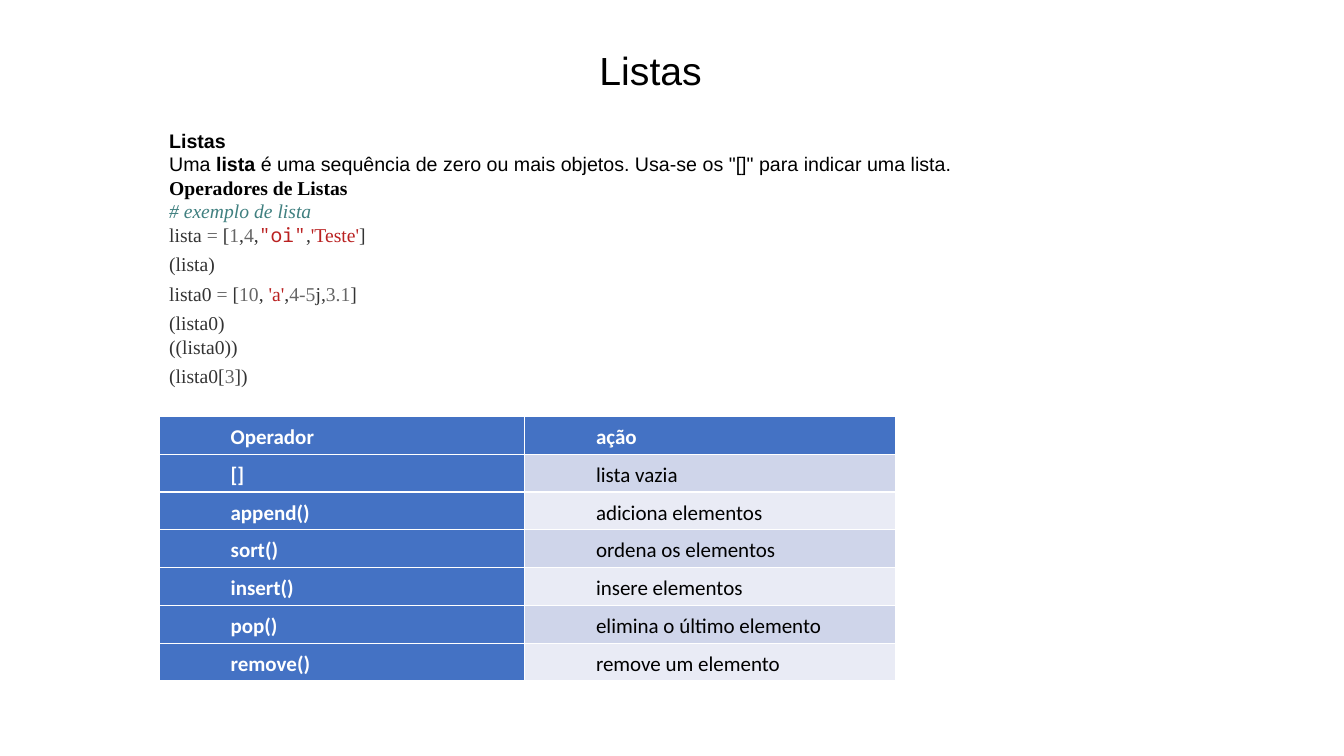
from pptx import Presentation
from pptx.dml.color import RGBColor
from pptx.enum.text import MSO_ANCHOR as Anchor, MSO_AUTO_SIZE as Fit, PP_ALIGN as Align
from pptx.util import Pt

BLACK = RGBColor(0x00, 0x00, 0x00)
WHITE = RGBColor(0xFF, 0xFF, 0xFF)
DARK = RGBColor(0x33, 0x33, 0x33)
GRAY = RGBColor(0x66, 0x66, 0x66)
RED = RGBColor(0xBA, 0x21, 0x21)
TEAL = RGBColor(0x40, 0x80, 0x80)
BLUE = RGBColor(0x44, 0x72, 0xC4)
BANDS = RGBColor(0xCF, 0xD5, 0xEA), RGBColor(0xE9, 0xEB, 0xF5)

SANS, SERIF, MONO = "Arial", "Times New Roman", "Noto Sans Mono"

# Each line: font, space before, runs of (text, colour, style)
GAP = 4.2
LINES = [
    (SANS, 0, [("Listas", BLACK, "bold")]),
    (SANS, 0, [("Uma ", BLACK, ""), ("lista", BLACK, "bold"),
               (' é uma sequência de zero ou mais objetos. '
                'Usa-se os "[]" para indicar uma lista.', BLACK, "")]),
    (SERIF, 0, [("Operadores de Listas", BLACK, "bold")]),
    (SERIF, 0, [("# exemplo de lista", TEAL, "italic")]),
    (SERIF, 0, [("lista ", DARK, ""), ("=", GRAY, ""), (" [", DARK, ""),
                ("1", GRAY, ""), (",", DARK, ""), ("4", GRAY, ""),
                (",", DARK, ""), ('"oi"', RED, "mono"), (",", DARK, ""),
                ("'Teste'", RED, ""), ("]", DARK, "")]),
    (SERIF, GAP, [("(lista)", DARK, "")]),
    (SERIF, GAP, [("lista0 ", DARK, ""), ("=", GRAY, ""), (" [", DARK, ""),
                  ("10", GRAY, ""), (", ", DARK, ""), ("'a'", RED, ""),
                  (",", DARK, ""), ("4-5", GRAY, ""), ("j,", DARK, ""),
                  ("3.1", GRAY, ""), ("]", DARK, "")]),
    (SERIF, GAP, [("(lista0)", DARK, "")]),
    (SERIF, 0, [("((lista0))", DARK, "")]),
    (SERIF, GAP, [("(lista0[", DARK, ""), ("3", GRAY, ""), ("])", DARK, "")]),
]

ROWS = [
    ("Operador", "ação"),
    ("[]", "lista vazia"),
    ("append()", "adiciona elementos"),
    ("sort()", "ordena os elementos"),
    ("insert()", "insere elementos"),
    ("pop()", "elimina o último elemento"),
    ("remove()", "remove um elemento"),
]


def style(font, name, size, color=None, bold=None):
    font.name, font.size, font.bold = name, Pt(size), bold
    if color is not None:
        font.color.rgb = color


def add_title(slide, box, text):
    frame = slide.shapes.add_textbox(*map(Pt, box)).text_frame
    frame.word_wrap = True
    frame.auto_size = Fit.SHAPE_TO_FIT_TEXT
    para = frame.paragraphs[0]
    para.text = text
    para.alignment = Align.CENTER
    para.line_spacing = 1.15
    para.space_after = Pt(10)
    style(para.font, SANS, 28, BLACK)


def add_notes(slide, box):
    """Place the explanation and the coloured code lines."""
    frame = slide.shapes.add_textbox(*map(Pt, box)).text_frame
    frame.word_wrap = False
    frame.auto_size = Fit.SHAPE_TO_FIT_TEXT
    frame.vertical_anchor = Anchor.MIDDLE
    frame.margin_top = Pt(10)
    for i, (face, gap, runs) in enumerate(LINES):
        para = frame.add_paragraph() if i else frame.paragraphs[0]
        para.space_before = Pt(gap)
        style(para.font, face, 14)
        for text, color, look in runs:
            run = para.add_run()
            run.text = text
            run.font.color.rgb = color
            if look == "bold":
                run.font.bold = True
            elif look == "italic":
                run.font.italic = True
            elif look == "mono":
                run.font.name = MONO


def fill_cell(cell, text, fill, color, bold):
    cell.fill.solid()
    cell.fill.fore_color.rgb = fill
    cell.vertical_anchor = Anchor.MIDDLE
    cell.margin_left = Pt(51)
    cell.margin_right = cell.margin_top = cell.margin_bottom = Pt(2.88)
    para = cell.text_frame.paragraphs[0]
    para.text = text
    para.line_spacing = 1.15
    style(para.font, "Calibri", 15, color, bold)


def add_grid(slide, box):
    """Place the operator table with a blue header row and first column."""
    left, top, width, height = box
    grid = slide.shapes.add_table(len(ROWS), 2, *map(Pt, box)).table
    grid.first_col = True
    first = 261
    grid.columns[0].width = Pt(first)
    grid.columns[1].width = Pt(width - first)
    for r, row in enumerate(ROWS):
        grid.rows[r].height = Pt(height / len(ROWS))
        for c, text in enumerate(row):
            head = r == 0 or c == 0
            fill = BLUE if head else BANDS[(r - 1) % 2]
            fill_cell(grid.cell(r, c), text, fill, WHITE if head else BLACK, head)


def main():
    deck = Presentation()
    deck.slide_width, deck.slide_height = Pt(960), Pt(540)
    slide = deck.slides.add_slide(deck.slide_layouts[6])
    add_notes(slide, (113.76, 79.2, 576, 203.76))
    add_grid(slide, (113.76, 297.5, 526.3, 189))
    add_title(slide, (348.5, 24.5, 232.5, 43.2), "Listas")
    deck.save("out.pptx")


if __name__ == "__main__":
    main()
